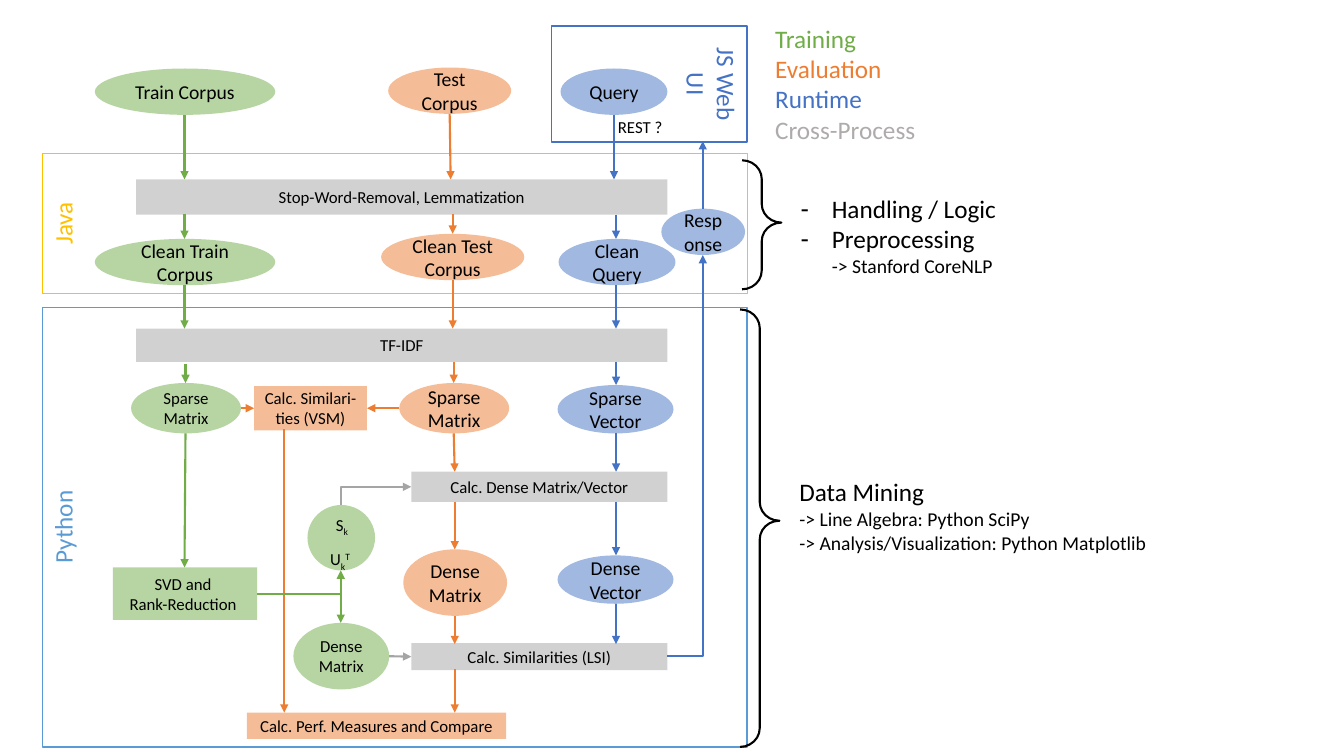
from copy import deepcopy
from dataclasses import dataclass
from typing import Optional

from lxml import etree
from pptx import Presentation
from pptx import util as u
from pptx.dml.color import RGBColor
from pptx.enum import shapes, text
from pptx.oxml.ns import qn

FONT = "Calibri"
COLORS = {
    "train": "70AD47", "test": "ED7D31", "runtime": "4472C4",
    "shared": "A5A5A5", "legend_shared": "AFABAB", "python": "5B9BD5",
    "java": "FFC000", "ink": "000000", "paper": "FFFFFF",
}
RECT = shapes.MSO_SHAPE.RECTANGLE
OVAL = shapes.MSO_SHAPE.OVAL
Box = tuple[float, float, float, float]
Point = tuple[float, float]


@dataclass
class Zone:
    label: str
    box: Box
    color: str
    direction: str
    line_width: float = 1


@dataclass
class Node:
    label: str
    box: Box
    role: str
    kind: int = OVAL
    size: int = 14


@dataclass
class Arrow:
    role: str
    start: Point
    end: Point
    target: Optional[str] = None   # rectangle joined at the end
    side: int = 0
    bend: str = ""                 # first leg of an elbow: "across" or "up"


ZONES = [
    Zone("Python", (0.42, 3.05, 6.99, 4.36), "python", "vert270"),
    Zone("JS Web UI", (5.47, 0.26, 1.94, 1.15), "runtime", "vert"),
    Zone("Java", (0.42, 1.52, 6.99, 1.39), "java", "vert270", 0.75),
]

VSM = "Calc. Similari-ties (VSM)"
LSI = "Calc. Similarities (LSI)"
NODES = [
    # Shared steps
    Node("Stop-Word-Removal, Lemmatization", (1.35, 1.78, 5.27, 0.35), "shared", RECT, 12),
    Node("TF-IDF", (1.35, 3.26, 5.27, 0.33), "shared", RECT, 12),
    Node("Calc. Dense Matrix/Vector", (4.08, 4.68, 2.54, 0.3), "shared", RECT, 12),
    Node(LSI, (4.08, 6.38, 2.54, 0.27), "shared", RECT, 12),
    # Training
    Node("Train Corpus", (0.94, 0.68, 1.79, 0.46), "train"),
    Node("Clean Train Corpus", (0.94, 2.37, 1.79, 0.46), "train"),
    Node("Sparse Matrix", (1.3, 3.8, 1.09, 0.5), "train", size=12),
    Node("SVD and \nRank-Reduction ", (1.12, 5.63, 1.43, 0.52), "train", RECT, 12),
    Node("Dense\nMatrix", (2.91, 6.18, 0.95, 0.66), "train", size=12),
    # Evaluation
    Node("Test Corpus", (3.85, 0.67, 1.22, 0.46), "test"),
    Node("Clean Test Corpus", (3.78, 2.32, 1.42, 0.46), "test"),
    Node("Sparse Matrix", (3.96, 3.8, 1.09, 0.5), "test"),
    Node("Dense\nMatrix", (4, 5.45, 1.03, 0.66), "test"),
    Node(VSM, (2.52, 3.83, 1.12, 0.44), "test", RECT, 12),
    Node("Calc. Perf. Measures and Compare", (2.45, 7.07, 2.57, 0.26), "test", RECT, 12),
    # Runtime
    Node("Query", (5.56, 0.68, 1.06, 0.46), "runtime"),
    Node("Clean Query", (5.54, 2.37, 1.16, 0.46), "runtime"),
    Node("Sparse Vector", (5.53, 3.82, 1.15, 0.48), "runtime"),
    Node("Dense Vector", (5.53, 5.51, 1.15, 0.48), "runtime"),
    Node("Response", (6.56, 2.07, 0.83, 0.46), "runtime"),
]
FACTORS = Node("", (3.05, 5.01, 0.67, 0.65), "train", size=12)
FACTOR_RUNS = [(" S", 0), ("k  ", -25), ("U", 0), ("k", -25), ("T ", 30)]

# Downward arrows: role, then (x, top, bottom) for each step
COLUMNS = {
    "train": [(1.83, 1.14, 1.78), (1.83, 2.12, 2.37), (1.83, 2.83, 3.26), (1.84, 3.61, 3.8)],
    "test": [(4.49, 2.12, 2.32), (4.49, 2.78, 3.26), (4.5, 3.59, 3.8), (4.51, 4.98, 5.45),
             (4.51, 6.11, 6.39), (4.51, 6.64, 7.07), (2.82, 4.26, 7.07)],
    "runtime": [(6.09, 1.14, 1.78), (6.11, 2.13, 2.37), (6.11, 2.83, 3.26), (6.11, 3.59, 3.82),
                (6.11, 4.3, 4.68), (6.11, 4.98, 5.51), (6.11, 5.99, 6.39)],
}
ARROWS = [Arrow(role, (x, top), (x, bottom))
          for role, steps in COLUMNS.items() for x, top, bottom in steps] + [
    Arrow("train", (1.84, 4.3), (1.83, 5.63)),
    Arrow("test", (4.46, 1.13), (4.47, 1.78)),
    Arrow("test", (4.5, 4.3), (4.51, 4.68)),
    Arrow("test", (2.39, 4.05), (2.52, 4.05), VSM, 1),
    Arrow("test", (3.96, 4.05), (3.64, 4.05), VSM, 3),
    Arrow("shared", (3.86, 6.51), (4.08, 6.51), LSI, 1),
    Arrow("runtime", (6.97, 2.07), (6.97, 1.4)),
    Arrow("runtime", (6.62, 6.51), (6.97, 2.53), bend="across"),
    Arrow("train", (2.55, 5.89), (3.38, 5.66), bend="across"),
    Arrow("train", (2.55, 5.89), (3.38, 6.18), bend="across"),
    Arrow("shared", (3.38, 5.01), (4.08, 4.83), bend="up"),
]
BRACES = [(7.36, 1.59, 0.39, 1.28), (7.34, 3.07, 0.39, 4.34)]
LEGEND = [("Training", "train"), ("Evaluation", "test"),
          ("Runtime", "runtime"), ("Cross-Process", "legend_shared")]


def rgb(name: str) -> RGBColor:
    return RGBColor.from_string(COLORS[name])


def inches(values) -> list[u.Length]:
    return [u.Inches(value) for value in values]


def write(paragraph, content: str, *, size: int = 18, color: str = "ink",
          baseline: int = 0, centred: bool = False) -> None:
    """Append text to a paragraph; a newline becomes a line break."""
    if centred:
        paragraph.alignment = text.PP_ALIGN.CENTER
    for index, line in enumerate(content.split("\n")):
        if index:
            paragraph.add_line_break()
            paragraph._p[-1].append(deepcopy(run._r.rPr))
        run = paragraph.add_run()
        run.text = line
        run.font.size, run.font.name = u.Pt(size), FONT
        run.font.color.rgb = rgb(color)
        if baseline:
            run._r.rPr.set("baseline", str(baseline * 1000))


def draw_zone(slide, zone: Zone) -> None:
    shape = slide.shapes.add_shape(RECT, *inches(zone.box))
    shape.shadow.inherit = False
    shape.fill.solid()
    shape.fill.fore_color.rgb = rgb("paper")
    shape.line.color.rgb = rgb(zone.color)
    shape.line.width = u.Pt(zone.line_width)
    frame = shape.text_frame
    frame.vertical_anchor = text.MSO_ANCHOR.TOP
    frame._txBody.bodyPr.set("vert", zone.direction)
    write(frame.paragraphs[0], zone.label, color=zone.color, centred=True)


def draw_node(slide, node: Node):
    shape = slide.shapes.add_shape(node.kind, *inches(node.box))
    shape.shadow.inherit = False
    shape.fill.solid()
    shape.fill.fore_color.rgb = rgb(node.role)
    tint = shape._element.spPr.find(".//" + qn("a:srgbClr"))
    etree.SubElement(tint, qn("a:alpha"), val="50000")
    shape.line.fill.background()
    shape.text_frame.vertical_anchor = text.MSO_ANCHOR.MIDDLE
    if node.label:
        write(shape.text_frame.paragraphs[0], node.label, size=node.size, centred=True)
    return shape


def draw_arrow(slide, arrow: Arrow, nodes: dict) -> None:
    (x1, y1), (x2, y2) = arrow.start, arrow.end
    if arrow.bend == "up":  # quarter turn back about the centre
        cx, cy, dx, dy = (x1 + x2) / 2, (y1 + y2) / 2, (x1 - x2) / 2, (y1 - y2) / 2
        x1, y1, x2, y2 = cx + dy, cy - dx, cx - dy, cy + dx
    kind = shapes.MSO_CONNECTOR.ELBOW if arrow.bend else shapes.MSO_CONNECTOR.STRAIGHT
    connector = slide.shapes.add_connector(kind, *inches((x1, y1, x2, y2)))
    connector.line.color.rgb = rgb(arrow.role)
    connector.line.width = u.Pt(1.5)
    properties = connector._element.spPr
    etree.SubElement(properties.find(qn("a:ln")), qn("a:tailEnd"), type="triangle")
    etree.SubElement(properties, qn("a:effectLst"))
    if arrow.bend:
        properties.find(qn("a:prstGeom")).set("prst", "bentConnector2")
    if arrow.bend == "up":
        properties.find(qn("a:xfrm")).set("rot", "5400000")
    if arrow.target:
        connector.end_connect(nodes[arrow.target], arrow.side)


def add_note(slide, box: Box):
    frame = slide.shapes.add_textbox(*inches(box)).text_frame
    frame.word_wrap = True
    return frame


def main() -> None:
    deck = Presentation()
    deck.slide_width, deck.slide_height = u.Inches(13.33), u.Inches(7.5)
    slide = deck.slides.add_slide(deck.slide_layouts[1])
    title = slide.shapes.title._element
    title.getparent().remove(title)

    # Process diagram
    for zone in ZONES:
        draw_zone(slide, zone)
    nodes = {node.label: draw_node(slide, node) for node in NODES}
    factors = draw_node(slide, FACTORS).text_frame.paragraphs[0]
    factors.line_spacing = 1.5
    for letters, baseline in FACTOR_RUNS:
        write(factors, letters, size=FACTORS.size, baseline=baseline, centred=True)
    for arrow in ARROWS:
        draw_arrow(slide, arrow, nodes)
    write(add_note(slide, (6.03, 1.11, 0.75, 0.3)).paragraphs[0], "REST ?", size=12)

    # Legend
    legend = add_note(slide, (7.59, 0.18, 1.8, 1.31))
    for index, (label, color) in enumerate(LEGEND):
        write(legend.add_paragraph() if index else legend.paragraphs[0], label, color=color)

    # Braces and their explanations
    for box in BRACES:
        brace = slide.shapes.add_shape(shapes.MSO_SHAPE.RIGHT_BRACE, *inches(box))
        brace.shadow.inherit = False
        brace.adjustments[0], brace.adjustments[1] = 0.477, 0.483
        brace.fill.background()
        brace.line.color.rgb = rgb("ink")
        brace.line.width = u.Pt(1.5)

    duties = slide.placeholders[1]
    duties.left, duties.top, duties.width, duties.height = inches((7.84, 1.87, 2.18, 0.94))
    duties.text_frame.auto_size = text.MSO_AUTO_SIZE.NONE
    handling = duties.text_frame.paragraphs[0]
    preprocessing = duties.text_frame.add_paragraph()
    write(handling, "Handling / Logic")
    write(preprocessing, "Preprocessing \n")
    write(preprocessing, "-> Stanford CoreNLP", size=14)
    for duty in (handling, preprocessing):
        duty.space_before = u.Pt(0)
        layout = duty._p.get_or_add_pPr()
        layout.set("marL", str(u.Inches(0.31)))
        layout.set("indent", str(u.Inches(-0.31)))
        etree.SubElement(layout, qn("a:buChar"), char="-")

    mining = add_note(slide, (7.83, 4.68, 4.24, 0.88)).paragraphs[0]
    write(mining, "Data Mining \n")
    write(mining, "-> Line Algebra: Python SciPy\n"
                  "-> Analysis/Visualization: Python Matplotlib", size=14)
    deck.save("out.pptx")


if __name__ == "__main__":
    main()
